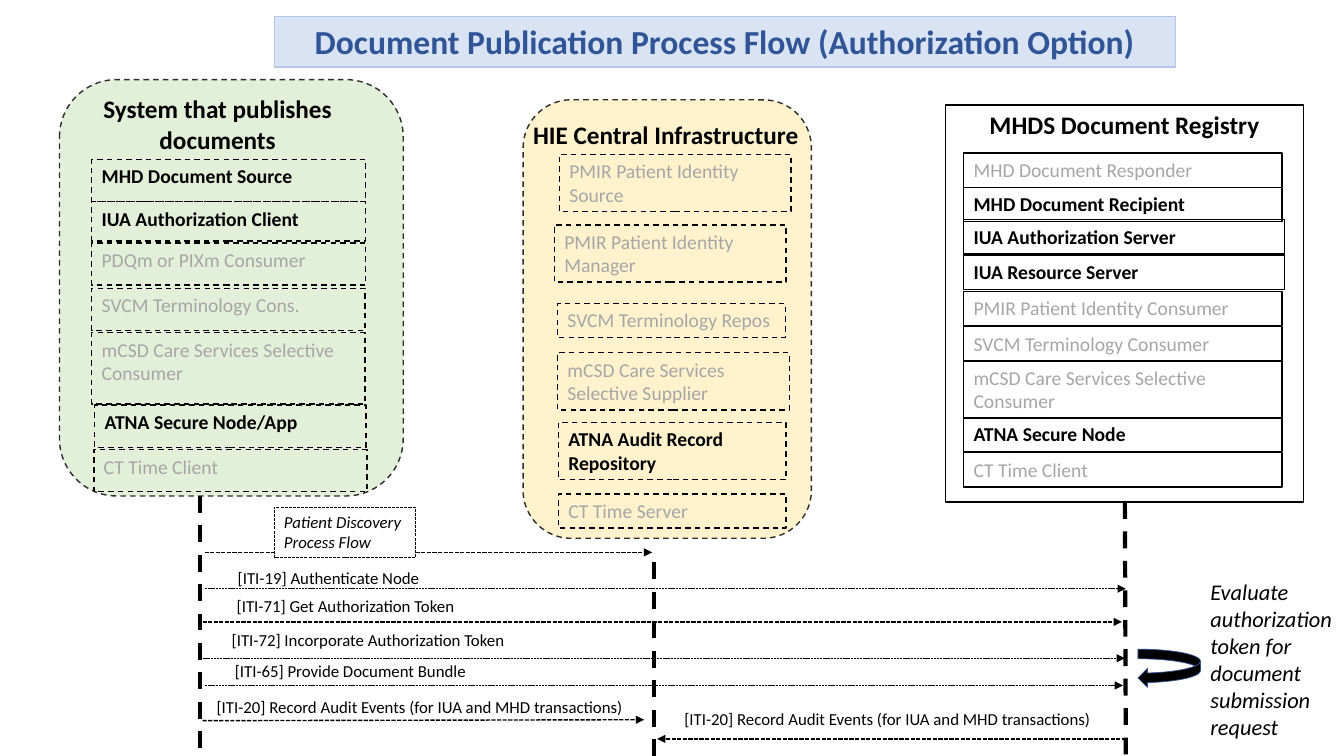
from dataclasses import dataclass

from lxml import etree
from pptx import Presentation
from pptx import util as u
from pptx.dml.color import RGBColor
from pptx.enum import dml, shapes, text
from pptx.oxml import ns

Pt = u.Pt
DASH, DOTS = dml.MSO_LINE.DASH, dml.MSO_LINE.SQUARE_DOT
BOX, ROUND = shapes.MSO_SHAPE.RECTANGLE, shapes.MSO_SHAPE.ROUNDED_RECTANGLE
CENTER = text.PP_ALIGN.CENTER


@dataclass(frozen=True)
class Theme:
    font: str = "Calibri"
    ink: str = "000000"
    muted: str = "A6A6A6"
    paper: str = "FFFFFF"
    green: str = "E2F0D9"
    yellow: str = "FFF2CC"
    title_fill: str = "DAE3F3"
    title_line: str = "B4C7E7"
    title_ink: str = "2F5597"
    arrow_line: str = "325491"
    title: int = 24
    heading: int = 18
    note: int = 16
    actor: int = 14
    label: int = 12


class Sketch:
    def __init__(self, slide, theme):
        self.slide, self.theme = slide, theme

    def stroke(self, line, color, weight, dash):
        line.color.rgb = RGBColor.from_string(color)
        line.width = Pt(weight)
        if dash:
            line.dash_style = dash

    def shape(self, kind, frame, fill=None, color=None, weight=1, dash=None):
        shape = self.slide.shapes.add_shape(kind, *map(Pt, frame))
        shape.shadow.inherit = False
        if fill:
            shape.fill.solid()
            shape.fill.fore_color.rgb = RGBColor.from_string(fill)
        else:
            shape.fill.background()
        self.stroke(shape.line, color or self.theme.ink, weight, dash)
        return shape

    def set_words(self, shape, words, size, color=None, bold=False, italic=False,
                  align=text.PP_ALIGN.LEFT, wrap=True):
        frame = shape.text_frame
        frame.text = words
        frame.word_wrap = wrap
        frame.auto_size = text.MSO_AUTO_SIZE.SHAPE_TO_FIT_TEXT
        frame.vertical_anchor = text.MSO_ANCHOR.TOP
        for paragraph in frame.paragraphs:
            paragraph.alignment = align
            for run in paragraph.runs:
                font = run.font
                font.name, font.size = self.theme.font, Pt(size)
                font.bold, font.italic = bold, italic
                font.color.rgb = RGBColor.from_string(color or self.theme.ink)

    def caption(self, frame, words, size, **style):
        self.set_words(self.slide.shapes.add_textbox(*map(Pt, frame)), words, size, **style)

    def panel(self, frame, fill):
        shape = self.shape(ROUND, frame, fill, dash=DASH)
        color = shape.line._ln.find(".//" + ns.qn("a:srgbClr"))
        etree.SubElement(color, ns.qn("a:alpha"), val="81000")

    def actors(self, rows, dash=None):
        for left, top, width, height, words, active in rows:
            shape = self.shape(BOX, (left, top, width, height), dash=dash)
            color = self.theme.ink if active else self.theme.muted
            self.set_words(shape, words, self.theme.actor, color, bold=active)

    def line(self, start, end, weight, dash, arrow=False):
        line = self.slide.shapes.add_connector(
            shapes.MSO_CONNECTOR.STRAIGHT, *map(Pt, (*start, *end)))
        self.stroke(line.line, self.theme.ink, weight, dash)
        if arrow:
            etree.SubElement(line.line._ln, ns.qn("a:tailEnd"), type="triangle")
        etree.SubElement(line._element.spPr, ns.qn("a:effectLst"))


presentation = Presentation()
presentation.slide_width, presentation.slide_height = Pt(960), Pt(540)
theme = Theme()
sketch = Sketch(presentation.slides.add_slide(presentation.slide_layouts[6]), theme)

# Title
title = sketch.shape(BOX, (195.8, 11.5, 643.7, 36.4), theme.title_fill, theme.title_line, 0.75)
sketch.set_words(title, "Document Publication Process Flow (Authorization Option)",
                 theme.title, theme.title_ink, bold=True, align=CENTER)

# Lifelines
for start, end in [((142.6, 270), (142.6, 540)),
                   ((467.3, 401.8), (467.3, 540)),
                   ((803.5, 358.6), (804.2, 540.5))]:
    sketch.line(start, end, 3, DASH)

# Publishing system
sketch.panel((42.5, 56.9, 245.5, 297.4), theme.green)
sketch.caption((24.5, 63.4, 262, 59), "System that publishes documents",
               theme.heading, bold=True, align=CENTER)
sketch.actors([
    (65.5, 113.8, 195.8, 30.2, "MHD Document Source", True),
    (65.5, 144, 195.8, 28.1, "IUA Authorization Client", True),
    (65.5, 173.5, 195.8, 30.2, "PDQm or PIXm Consumer", False),
    (65.5, 205.9, 195.1, 30.2, "SVCM Terminology Cons.", False),
    (65.5, 237.6, 195.1, 51.1, "mCSD Care Services Selective Consumer", False),
    (67.7, 289.4, 193.7, 30.2, "ATNA Secure Node/App", True),
    (67, 321.1, 195.1, 30.2, "CT Time Client", False),
], DASH)

# Central infrastructure
sketch.panel((373.7, 71.3, 205.9, 313.2), theme.yellow)
sketch.caption((373.7, 81.4, 205.9, 28.8), "HIE Central Infrastructure",
               theme.heading, bold=True, wrap=False)
sketch.actors([
    (399.6, 110.2, 165.6, 41, "PMIR Patient Identity Source", False),
    (396, 160.6, 165.6, 41, "PMIR Patient Identity Manager", False),
    (398.2, 216.7, 162.7, 24.5, "SVCM Terminology Repos", False),
    (398.2, 252, 165.6, 41, "mCSD Care Services Selective Supplier", False),
    (398.9, 301.7, 162.7, 41, "ATNA Audit Record Repository", True),
    (398.9, 352.8, 162.7, 24.5, "CT Time Server", False),
], DASH)

# Document registry
registry = sketch.shape(BOX, (675.4, 74.9, 255.6, 283.7))
sketch.set_words(registry, "MHDS Document Registry", theme.heading, bold=True, align=CENTER)
sketch.actors([(688.3, top, width, height, words, active)
               for top, width, height, words, active in [
    (109.4, 227.5, 24.5, "MHD Document Responder", False),
    (133.9, 227.5, 24.5, "MHD Document Recipient", True),
    (157, 229, 24.5, "IUA Authorization Server", True),
    (182.2, 229, 24.5, "IUA Resource Server", True),
    (208.1, 227.5, 24.5, "PMIR Patient Identity Consumer", False),
    (233.3, 227.5, 24.5, "SVCM Terminology Consumer", False),
    (257.8, 227.5, 41, "mCSD Care Services Selective Consumer", False),
    (298.1, 227.5, 24.5, "ATNA Secure Node", True),
    (323.3, 227.5, 24.5, "CT Time Client", False),
]])

# Patient discovery reference
sketch.line((146.2, 394.6), (465.8, 394.6), 1, DOTS, arrow=True)
discovery = sketch.shape(BOX, (195.8, 362.2, 100.8, 36.4), theme.paper, weight=0.75, dash=DOTS)
sketch.set_words(discovery, "Patient Discovery\nProcess Flow", theme.label, italic=True)

# Messages: arrow start, arrow end, weight, label place, label
audit = "[ITI-20] Record Audit Events (for IUA and MHD transactions)"
for start, end, weight, (left, top, width), words in [
    ((146.2, 420.5), (804.2, 420.5), 0.5, (162.7, 401.8, 206), "[ITI-19] Authenticate Node"),
    ((144.7, 444.2), (801.4, 444.2), 1, (162, 421.9, 206), "[ITI-71] Get Authorization Token"),
    ((144.7, 470.2), (803.5, 470.2), 0.5, (158.4, 446.4, 265.7),
     "[ITI-72] Incorporate Authorization Token"),
    ((146.2, 489.6), (802.1, 489.6), 0.5, (160.6, 468.7, 206), "[ITI-65] Provide Document Bundle"),
    ((144.7, 514.8), (460.1, 514.1), 1, (147.6, 493.9, 329.8), audit),
    ((804.2, 527.8), (469.4, 527.8), 1, (481.7, 502.6, 329.8), audit),
]:
    sketch.line(start, end, weight, DOTS, arrow=True)
    sketch.caption((left, top, width, 21.6), words, theme.label)

# Token evaluation
loop = sketch.shape(shapes.MSO_SHAPE.CURVED_RIGHT_ARROW, (812.9, 463.7, 44.6, 27.4),
                    theme.ink, theme.arrow_line, 0.5)
loop._element.spPr.xfrm.set("flipH", "1")
sketch.caption((857.5, 409.7, 103.7, 123.8),
               "Evaluate authorization token for document submission request",
               theme.note, italic=True)

presentation.save("out.pptx")
